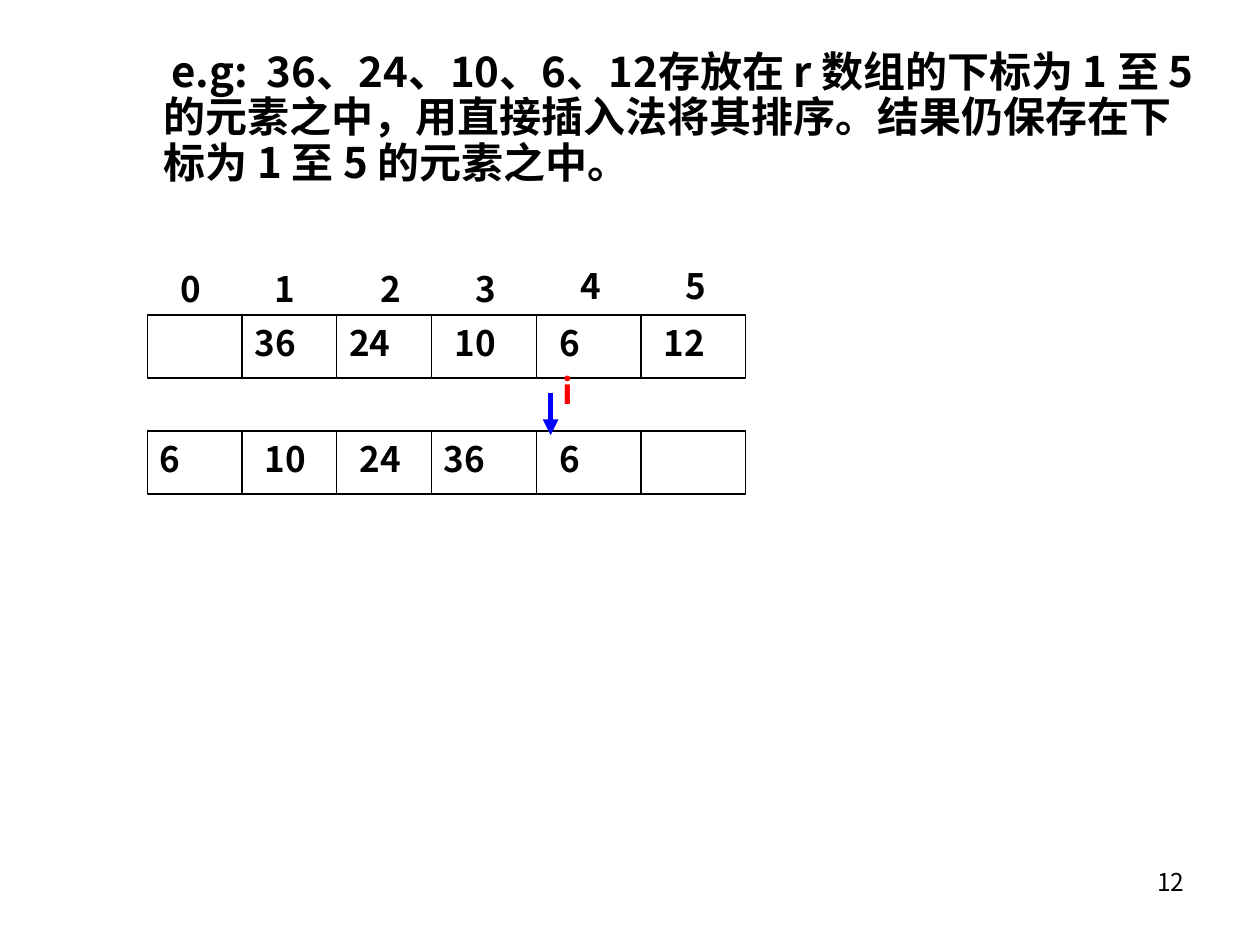
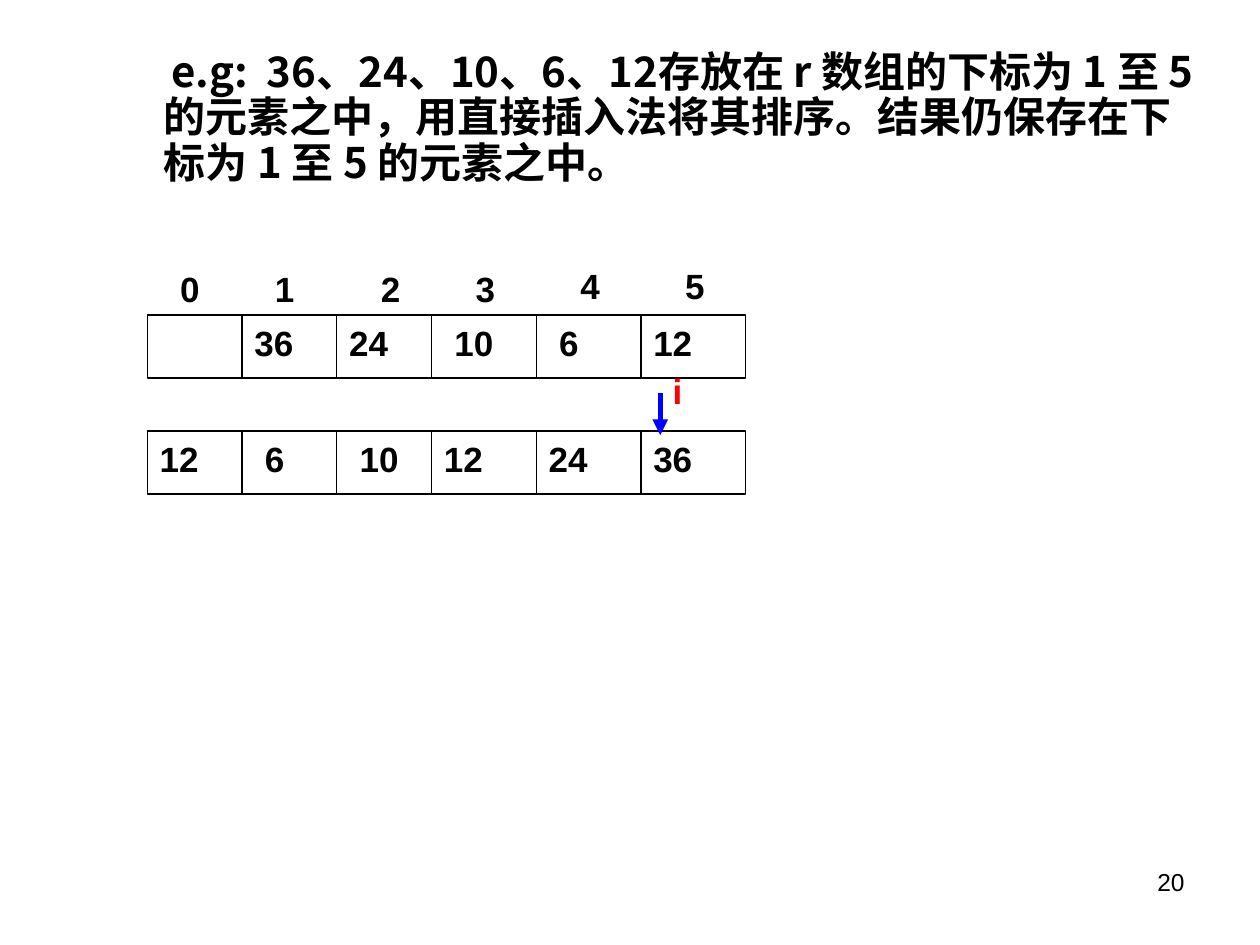
from lxml import etree
from pptx import Presentation
from pptx.dml.color import RGBColor
from pptx.enum.shapes import MSO_CONNECTOR, MSO_SHAPE
from pptx.enum.text import PP_ALIGN
from pptx.oxml.ns import qn
from pptx.util import Cm, Pt

RECTANGLE = MSO_SHAPE.RECTANGLE
STRAIGHT = MSO_CONNECTOR.STRAIGHT
LEFT, RIGHT = PP_ALIGN.LEFT, PP_ALIGN.RIGHT

BLACK, WHITE, RED, BLUE = "000000", "FFFFFF", "FF0000", "0000FF"
SANS, CJK = "Arial", "Noto Sans CJK SC"

COLUMN_WIDTHS = [1.91] * 3 + [2.11] * 3
COLUMN_EDGES = [sum(COLUMN_WIDTHS[:count]) for count in range(7)]
ARRAY_LEFT, INPUT_TOP, RESULT_TOP = 2.97, 6.35, 8.69
ROW_HEIGHT = 1.27
CELL_INDENT = 0.21
QUESTION = (
    "e.g:  36、24、10、6、12存放在 r 数组的下标为 1 至 5 的元素之中，"
    "用直接插入法将其排序。结果仍保存在下标为 1 至 5 的元素之中。"
)


def rgb(color):
    return RGBColor.from_string(color)


def add_text(page, text, left, top, width, height, font_name,
             size=20, color=BLACK, bold=True, align=LEFT):
    box = page.shapes.add_textbox(Cm(left), Cm(top), Cm(width), Cm(height))
    box.text_frame.word_wrap = True
    box.text_frame.text = text
    para = box.text_frame.paragraphs[0]
    para.alignment = align
    span = para.runs[0]
    span.font.size = Pt(size)
    span.font.bold = bold
    span.font.color.rgb = rgb(color)
    span.font.name = font_name
    east_asian = etree.SubElement(span.font._element, qn("a:ea"))
    east_asian.set("typeface", font_name)
    return para


def add_line(page, left, top, bottom, color=BLACK, weight=0.75):
    line = page.shapes.add_connector(
        STRAIGHT, Cm(left), Cm(top), Cm(left), Cm(bottom))
    line.line.color.rgb = rgb(color)
    line.line.width = Pt(weight)
    etree.SubElement(line._element.spPr, qn("a:effectLst"))
    return line


def add_array(page, left, top, values, indented, font_name):
    frame = page.shapes.add_shape(
        RECTANGLE, Cm(left), Cm(top), Cm(COLUMN_EDGES[-1]), Cm(ROW_HEIGHT))
    frame.shadow.inherit = False
    frame.fill.solid()
    frame.fill.fore_color.rgb = rgb(WHITE)
    frame.line.color.rgb = rgb(BLACK)
    frame.line.width = Pt(0.75)
    for edge in COLUMN_EDGES[1:-1]:
        add_line(page, left + edge, top, top + ROW_HEIGHT)
    for column, value in enumerate(values):
        if value:
            indent = CELL_INDENT if column in indented else 0
            add_text(page, value, left + COLUMN_EDGES[column] + indent, top,
                     1.7, 1.12, font_name)


def add_indexes(page, left, row_top, font_name):
    for column in range(6):
        indent = 0.41 if column < 2 else 0.64
        rise = 1.09 if column < 4 else 1.14
        add_text(page, str(column), left + COLUMN_EDGES[column] + indent,
                 row_top - rise, 0.85, 1.12, font_name)


def add_marker(page, left, top, font_name):
    arrow = add_line(page, left, top + 0.6, top + 1.45, BLUE, 3)
    etree.SubElement(arrow.line._ln, qn("a:tailEnd")).set("type", "triangle")
    add_text(page, "i", left, top, 0.85, 1.12, font_name, color=RED)


def add_question(page):
    para = add_text(page, QUESTION, 0.69, 0.91, 23.67, 3, CJK, size=24)
    para.line_spacing = 0.9
    properties = para._p.get_or_add_pPr()
    properties.set("marL", str(Cm(2.36)))
    properties.set("indent", str(Cm(0.15)))


def build_step(deck, number, font_name, inputs, input_indented,
               results, result_indented, marker_left):
    page = deck.slides.add_slide(deck.slide_layouts[6])
    add_text(page, number, 18.21, 17.35, 5.92, 1.32, font_name,
             size=14, bold=False, align=RIGHT)
    add_array(page, ARRAY_LEFT, INPUT_TOP, inputs, input_indented, font_name)
    add_indexes(page, ARRAY_LEFT, INPUT_TOP, font_name)
    add_array(page, ARRAY_LEFT, RESULT_TOP, results, result_indented, font_name)
    add_marker(page, marker_left, 7.32, font_name)
    add_question(page)


def main():
    deck = Presentation()
    deck.slide_width, deck.slide_height = Cm(25.4), Cm(19.05)
    inputs = ["", "36", "24", "10", "6", "12"]
    build_step(deck, "12", CJK, inputs, {3, 4, 5},
               ["6", "10", "24", "36", "6", ""], {1, 2, 4}, 11.1)
    build_step(deck, "20", SANS, inputs, {3, 4},
               ["12", "6", "10", "12", "24", "36"], {1, 2}, 13.31)
    deck.save("out.pptx")


if __name__ == "__main__":
    main()
